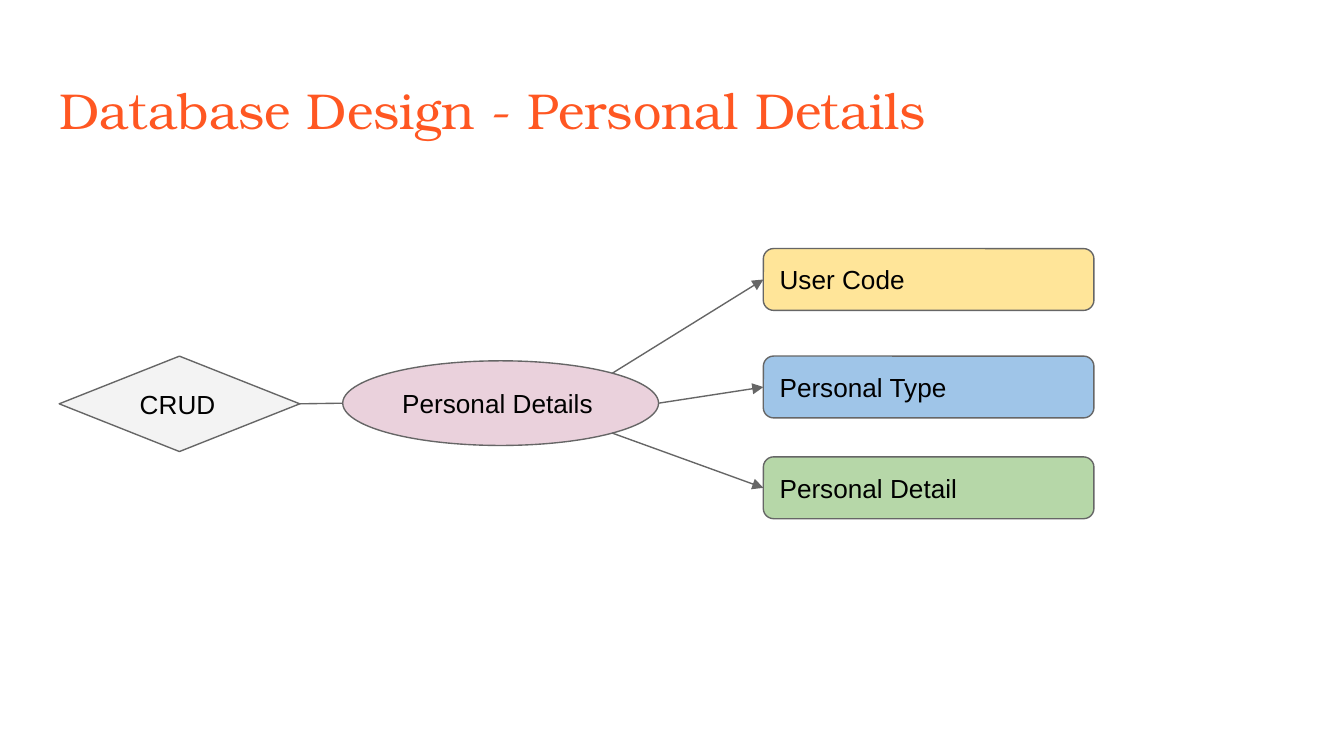
from math import sqrt
from pptx import Presentation
from pptx.dml.color import RGBColor
from pptx.enum import shapes, text
from pptx.oxml.ns import qn
from pptx.util import Inches, Pt
from lxml import etree

# Content
TITLE = "Database Design - Personal Details"
ACTION = " CRUD"
ENTITY = "Personal Details"
FIELDS = [("User Code", "yellow", 1.85),
          ("Personal Type", "blue", 2.65),
          ("Personal Detail", "green", 3.4)]
COLORS = {"title": "FF5722", "text": "000000", "line": "666666",
          "gray": "F3F3F3", "pink": "EAD1DC", "yellow": "FFE599",
          "blue": "9FC5E8", "green": "B6D7A8"}
KIND = shapes.MSO_SHAPE
TOP, MIDDLE = text.MSO_ANCHOR.TOP, text.MSO_ANCHOR.MIDDLE


def color(name):
    return RGBColor.from_string(COLORS[name])


def write(shape, words, size=14, font="Arial", ink="text", anchor=MIDDLE):
    frame = shape.text_frame
    frame.word_wrap = True
    frame.auto_size = text.MSO_AUTO_SIZE.NONE
    frame.vertical_anchor = anchor
    frame.margin_left = frame.margin_right = Inches(0.1)
    frame.margin_top = frame.margin_bottom = Inches(0.1)
    para = frame.paragraphs[0]
    para.alignment = text.PP_ALIGN.LEFT
    run = para.add_run()
    run.text = words
    run.font.size = Pt(size)
    run.font.name = font
    run.font.color.rgb = color(ink)


def add_node(slide, kind, box, words, fill):
    node = slide.shapes.add_shape(kind, *map(Inches, box))
    node.shadow.inherit = False
    node.fill.solid()
    node.fill.fore_color.rgb = color(fill)
    node.line.color.rgb = color("line")
    node.line.width = Pt(0.75)
    write(node, words)
    return node


def add_link(slide, start, end, arrow=True):
    link = slide.shapes.add_connector(
        shapes.MSO_CONNECTOR.STRAIGHT, *map(Inches, start + end))
    link.line.color.rgb = color("line")
    link.line.width = Pt(0.75)
    props = link.line._get_or_add_ln()
    if arrow:
        etree.SubElement(props, qn("a:tailEnd"), type="triangle")
    etree.SubElement(props.getparent(), qn("a:effectLst"))
    return link


def main():
    # Widescreen, 16:9
    deck = Presentation()
    deck.slide_width = Inches(10)
    deck.slide_height = Inches(10 * 9 / 16)
    slide = deck.slides.add_slide(deck.slide_layouts[5])

    # Title
    title = slide.shapes.title
    title.left, title.top = Inches(0.34), Inches(0.49)
    title.width, title.height = Inches(9.32), Inches(0.63)
    write(title, TITLE, size=27, font="TeX Gyre Bonum", ink="title", anchor=TOP)

    # Action and entity share one centre line
    mid = 3
    left, wide, high = 2.55, 2.35, 0.63
    action = add_node(slide, KIND.DIAMOND, (0.44, mid - 0.35, 1.79, 0.71),
                      ACTION, "gray")
    add_node(slide, KIND.OVAL, (left, mid - high / 2, wide, high), ENTITY, "pink")
    link = add_link(slide, (2.23, mid), (left, mid), arrow=False)
    link.begin_connect(action, 3)

    # Arrows leave the ellipse at 45 degrees up, at its right, 45 degrees down
    core = left + wide / 2
    dx, dy = wide / 2 / sqrt(2), high / 2 / sqrt(2)
    exits = [(core + dx, mid - dy), (left + wide, mid), (core + dx, mid + dy)]

    # Fields
    x, height = 5.68, 0.46
    for (words, fill, y), start in zip(FIELDS, exits):
        field = add_node(slide, KIND.ROUNDED_RECTANGLE, (x, y, 2.46, height), words, fill)
        link = add_link(slide, start, (x, y + height / 2))
        link.end_connect(field, 1)

    deck.save("out.pptx")


if __name__ == "__main__":
    main()
